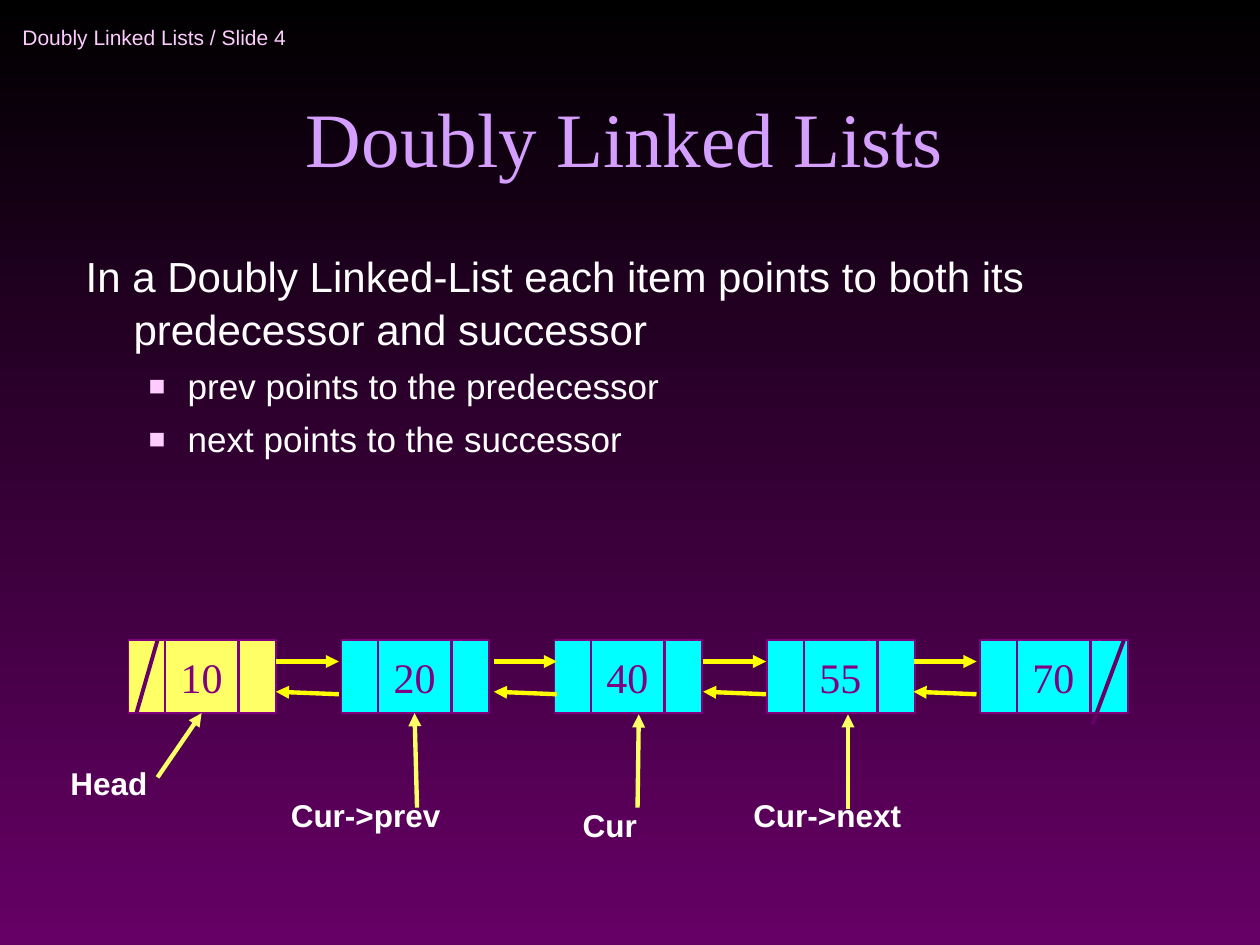
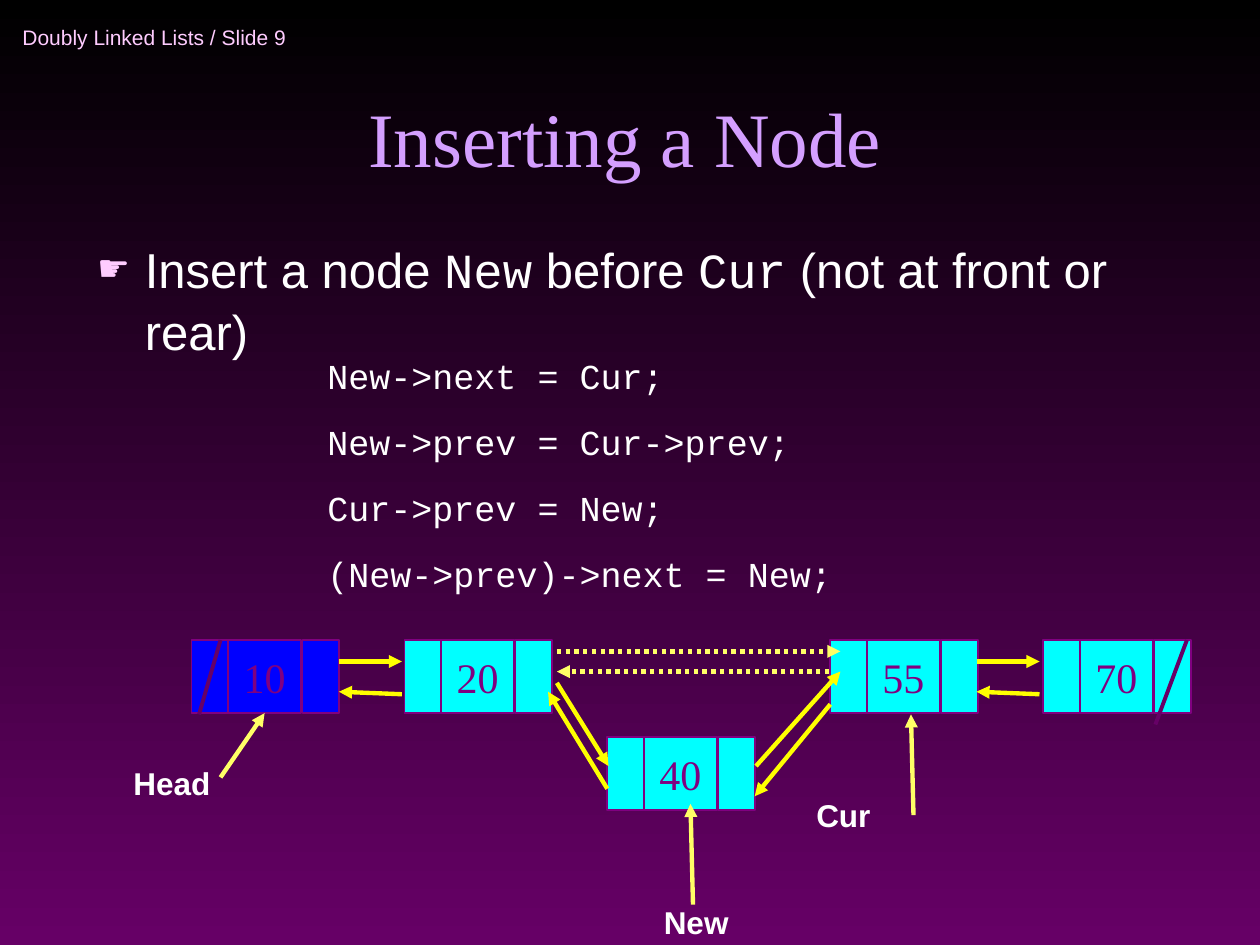
from dataclasses import dataclass

from lxml.etree import SubElement
from pptx import Presentation
from pptx.dml.color import RGBColor
from pptx.enum.dml import MSO_LINE_DASH_STYLE as DASH
from pptx.enum.shapes import MSO_CONNECTOR as CONN, MSO_SHAPE as SHAPE
from pptx.enum.text import MSO_ANCHOR as ANCHOR, MSO_AUTO_SIZE as AUTO, PP_ALIGN as ALIGN
from pptx.oxml.ns import qn
from pptx.util import Inches, Pt


@dataclass(frozen=True)
class Theme:
    top: str = "000000"
    bottom: str = "660066"
    title: str = "D49FFF"
    accent: str = "FFCCFF"
    text: str = "FFFFFF"
    node: str = "00FFFF"
    node_line: str = "800080"
    head: str = "FFFF66"
    head_dark: str = "0000FF"
    link: str = "FFFF00"
    pointer: str = "FFFF66"
    sans: str = "Arial"
    serif: str = "Times New Roman"
    mono: str = "Courier New"
    title_size: int = 44
    lead_size: int = 28
    body_size: int = 24
    sub_size: int = 20
    label_size: int = 18
    header_size: int = 12
    line_spacing: float = 1.05


T = Theme()
NODE_TOP = 5.08
NODE_PITCH = 1.69
CELL = 0.29
CELL_H = 0.58


def rgb(value):
    return RGBColor.from_string(value)


def place(s, x, y, w, h):
    s.left, s.top, s.width, s.height = (Inches(v) for v in (x, y, w, h))


def add_run(p, text, size, font=T.sans, color=T.text, bold=False):
    r = p.add_run()
    r.text = text
    r.font.size = Pt(size)
    r.font.name = font
    r.font.bold = bold
    r.font.color.rgb = rgb(color)


def set_bullet(p, char=None, percent=100, margin=0.38, hang=0.38):
    pPr = p._p.get_or_add_pPr()
    pPr.set("marL", str(Inches(margin)))
    pPr.set("indent", str(-Inches(hang)))
    if char is None:
        SubElement(pPr, qn("a:buNone"))
        return
    color = SubElement(pPr, qn("a:buClr"))
    SubElement(color, qn("a:srgbClr"), val=T.accent)
    SubElement(pPr, qn("a:buSzPct"), val=str(percent * 1000))
    SubElement(pPr, qn("a:buFont"), typeface=T.sans)
    SubElement(pPr, qn("a:buChar"), char=char)


def set_spacing(p, before=0):
    p.line_spacing = T.line_spacing
    p.space_before = Pt(before)


def add_text(slide, x, y, w, h, lines, size, font=T.sans, color=T.text,
             bold=False, before=0, align=ALIGN.LEFT, anchor=ANCHOR.TOP):
    tf = slide.shapes.add_textbox(*(Inches(v) for v in (x, y, w, h))).text_frame
    tf.word_wrap = True
    tf.vertical_anchor = anchor
    for i, line in enumerate(lines):
        p = tf.add_paragraph() if i else tf.paragraphs[0]
        set_spacing(p, before if i else 0)
        p.alignment = align
        add_run(p, line, size, font, color, bold)


def add_label(slide, text, x, y, w, align=ALIGN.LEFT):
    add_text(slide, x, y, w, 0.4, [text], T.label_size, bold=True, align=align)


def add_slide(prs, number, title):
    slide = prs.slides.add_slide(prs.slide_layouts[1])
    add_text(slide, 0.08, 0.08, 2.75, 0.42, [f"Doubly Linked Lists / Slide {number}"],
             T.header_size, color=T.accent, anchor=ANCHOR.MIDDLE)
    s = slide.shapes.title
    place(s, 0.67, 0.25, 8.58, 1.25)
    tf = s.text_frame
    tf.auto_size = AUTO.NONE
    tf.vertical_anchor = ANCHOR.BOTTOM
    p = tf.paragraphs[0]
    p.alignment = ALIGN.CENTER
    add_run(p, title, T.title_size, T.serif, T.title)
    return slide


def body_frame(slide, x, y):
    s = slide.placeholders[1]
    place(s, x, y, 8.58, 4.5)
    tf = s.text_frame
    tf.auto_size = AUTO.NONE
    return tf


def add_cell(slide, x, y, w, fill):
    s = slide.shapes.add_shape(SHAPE.RECTANGLE, *(Inches(v) for v in (x, y, w, CELL_H)))
    s.shadow.inherit = False
    s.fill.solid()
    s.fill.fore_color.rgb = rgb(fill)
    s.line.color.rgb = rgb(T.node_line)
    s.line.width = Pt(1)
    return s


def add_node(slide, x, value, y=NODE_TOP, fill=T.node):
    data = add_cell(slide, x + CELL, y, 2 * CELL, fill)
    for field_x in (x, x + 3 * CELL + 0.01):
        add_cell(slide, field_x, y, CELL, fill)
    tf = data.text_frame
    tf.word_wrap = False
    tf.vertical_anchor = ANCHOR.MIDDLE
    p = tf.paragraphs[0]
    p.alignment = ALIGN.CENTER
    add_run(p, str(value), T.body_size, T.serif, T.node_line)
    return data


def add_line(slide, start, end, color, width=2.5, arrow=True, dash=None, target=None):
    c = slide.shapes.add_connector(CONN.STRAIGHT, *(Inches(v) for v in (*start, *end)))
    if target is not None:
        c.end_connect(target, 2)
    c.line.color.rgb = rgb(color)
    c.line.width = Pt(width)
    if dash:
        c.line.dash_style = dash
    if arrow:
        SubElement(c.line._get_or_add_ln(), qn("a:tailEnd"), type="triangle")
    SubElement(c._element.spPr, qn("a:effectLst"))


def add_link_pair(slide, x):
    add_line(slide, (x, 5.25), (x + 0.5, 5.25), T.link)
    add_line(slide, (x + 0.5, 5.51), (x, 5.49), T.link)


def add_chain(slide, left, values, link_xs, head_fill):
    nodes = {}
    for slot, value in values.items():
        fill = T.node if slot else head_fill
        nodes[value] = add_node(slide, left + slot * NODE_PITCH, value, fill=fill)
    for x in link_xs:
        add_link_pair(slide, x)
    for start, end in (((0.23, 5.08), (0.06, 5.67)), ((7.9, 5.08), (7.65, 5.75))):
        add_line(slide, (left + start[0], start[1]), (left + end[0], end[1]),
                 T.bottom, 2.25, arrow=False)
    add_label(slide, "Head", left - 0.56, 6, 1.56)
    add_line(slide, (left + 0.23, 6.17), (left + 0.56, 5.67), T.pointer, target=nodes[10])
    return nodes


def build_overview(prs):
    slide = add_slide(prs, 4, "Doubly Linked Lists")
    tf = body_frame(slide, 0.58, 1.92)
    p = tf.paragraphs[0]
    set_bullet(p)
    set_spacing(p)
    add_run(p, "In a Doubly Linked-List each item points to both its "
               "predecessor and successor", T.body_size)
    for text in ("prev points to the predecessor", "next points to the successor"):
        p = tf.add_paragraph()
        p.level = 1
        set_bullet(p, "■", 80, 0.81, 0.31)
        set_spacing(p, 5)
        add_run(p, text, T.sub_size)

    nodes = add_chain(slide, 1.02, dict(enumerate((10, 20, 40, 55, 70))),
                      (2.19, 3.92, 5.58, 7.25), T.head)
    add_label(slide, "Cur", 3.55, 6.33, 2.58, ALIGN.CENTER)
    add_label(slide, "Cur->next", 5.88, 6.25, 2.12)
    add_label(slide, "Cur->prev", 2.21, 6.25, 2.14)
    add_line(slide, (3.31, 6.41), (3.31, 5.67), T.pointer, target=nodes[20])
    add_line(slide, (5.06, 6.41), (5.07, 5.67), T.pointer)
    add_line(slide, (6.73, 6.42), (6.73, 5.67), T.pointer)


def build_insertion(prs):
    slide = add_slide(prs, 9, "Inserting a Node")
    p = body_frame(slide, 0.67, 1.83).paragraphs[0]
    set_bullet(p, "☛", 75)
    set_spacing(p)
    for text, font in (("Insert a node ", T.sans), ("New", T.mono), (" before ", T.sans),
                       ("Cur", T.mono), (" (not at front or rear)", T.sans)):
        add_run(p, text, T.lead_size, font)

    add_chain(slide, 1.52, {0: 10, 1: 20, 3: 55, 4: 70}, (2.69, 7.75), T.head_dark)
    add_node(slide, 4.82, 40, y=5.85)
    for start, end in (((4.42, 5.42), (4.83, 6.08)), ((4.82, 6.26), (4.35, 5.49)),
                       ((6, 6.08), (6.67, 5.33)), ((6.59, 5.59), (5.99, 6.32))):
        add_line(slide, start, end, T.link)
    add_label(slide, "New", 5.17, 7.1, 1)
    add_label(slide, "Cur", 6.38, 6.25, 1.38)
    add_line(slide, (5.5, 7.18), (5.48, 6.38), T.pointer)
    add_line(slide, (7.25, 6.47), (7.23, 5.67), T.pointer)
    add_text(slide, 2.5, 2.75, 5, 1.96,
             ["New->next = Cur;", "New->prev = Cur->prev;",
              "Cur->prev = New;", "(New->prev)->next = New;"],
             T.sub_size, T.mono, before=12.5)
    for start, end in (((4.42, 5.17), (6.67, 5.17)), ((6.58, 5.33), (4.42, 5.33))):
        add_line(slide, start, end, T.pointer, dash=DASH.ROUND_DOT)


def set_background(prs):
    fill = prs.slide_master.background.fill
    fill.gradient()
    fill.gradient_angle = 270
    for stop, color, position in zip(fill.gradient_stops, (T.top, T.bottom), (0, 1)):
        stop.color.rgb = rgb(color)
        stop.position = position


def main():
    prs = Presentation()
    prs.slide_width, prs.slide_height = Inches(10), Inches(7.5)
    set_background(prs)
    build_overview(prs)
    build_insertion(prs)
    prs.save("out.pptx")


if __name__ == "__main__":
    main()
